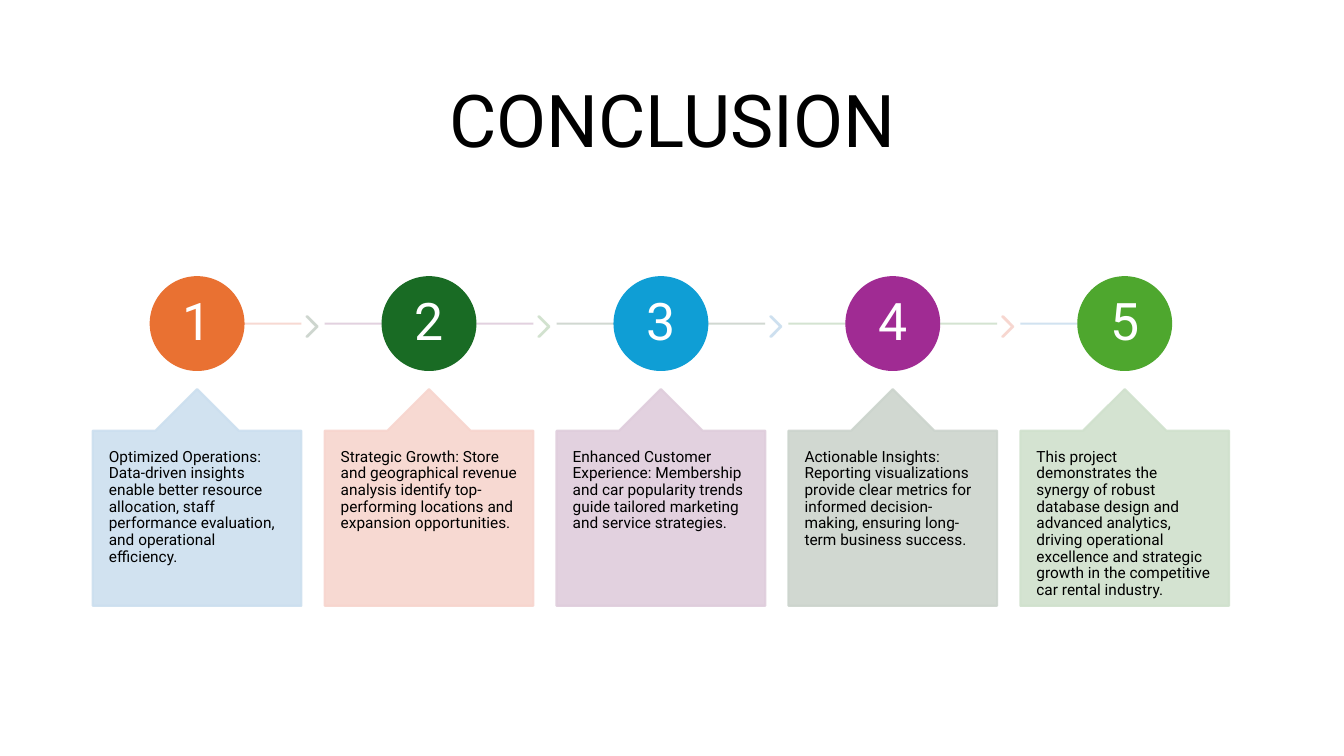
from lxml import etree
from pptx import Presentation
from pptx.dml.color import RGBColor
from pptx.enum.shapes import MSO_CONNECTOR as CONN, MSO_SHAPE as SHAPE
from pptx.enum.text import MSO_ANCHOR as ANCHOR, PP_ALIGN as ALIGN
from pptx.oxml.ns import qn
from pptx.util import Inches, Pt

COLORS = {
    "black": "000000", "white": "FFFFFF",
    "orange": "E97132", "dark_green": "196B24", "blue": "0F9ED5",
    "purple": "A02B93", "green": "4EA72E",
    "pale_blue": "CCDFEF", "pale_orange": "F7D5CE", "pale_purple": "DFCDDC",
    "pale_gray": "CCD4CD", "pale_green": "D0E1CD",
}
STEPS = [
    ("orange", "pale_blue", "pale_orange", "pale_gray",
     "Optimized Operations: Data-driven insights enable better resource allocation, "
     "staff performance evaluation, and operational efficiency."),
    ("dark_green", "pale_orange", "pale_purple", "pale_green",
     "Strategic Growth: Store and geographical revenue analysis identify "
     "top-performing locations and expansion opportunities."),
    ("blue", "pale_purple", "pale_gray", "pale_blue",
     "Enhanced Customer Experience: Membership and car popularity trends guide "
     "tailored marketing and service strategies."),
    ("purple", "pale_gray", "pale_green", "pale_orange",
     "Actionable Insights: Reporting visualizations provide clear metrics for "
     "informed decision-making, ensuring long-term business success."),
    ("green", "pale_green", "pale_blue", None,
     "This project demonstrates the synergy of robust database design and advanced "
     "analytics, driving operational excellence and strategic growth in the "
     "competitive car rental industry."),
]
LEFT, PITCH, CARD_W, CIRCLE = 0.92, 2.3, 2.07, 0.92
LINE_Y = 3.21


def paint(sp, color, opacity=100):
    sp.line.color.rgb = RGBColor.from_string(COLORS[color])
    sp.line.width = Pt(1.5)
    if hasattr(sp, "fill"):
        sp.shadow.inherit = False
        sp.fill.solid()
        sp.fill.fore_color.rgb = RGBColor.from_string(COLORS[color])
    else:
        etree.SubElement(sp.element.spPr, qn("a:effectLst"))
    if opacity < 100:
        for clr in sp.element.spPr.iter(qn("a:srgbClr")):
            etree.SubElement(clr, qn("a:alpha"), val=str(opacity * 1000))


def write(sp, text, size, color, align, anchor, inset_x, inset_y):
    tf = sp.text_frame
    tf.word_wrap = True
    tf.vertical_anchor = anchor
    tf.margin_left = tf.margin_right = Inches(inset_x)
    tf.margin_top = tf.margin_bottom = Inches(inset_y)
    p = tf.paragraphs[0]
    p.alignment = align
    p.line_spacing = 0.9
    r = p.add_run()
    r.text = text
    r.font.name = "Roboto"
    r.font.size = Pt(size)
    r.font.color.rgb = RGBColor.from_string(COLORS[color])


prs = Presentation()
prs.slide_width, prs.slide_height = Inches(13.33), Inches(7.5)
s = prs.slides.add_slide(prs.slide_layouts[5])

title = s.shapes.title
title.left, title.top = Inches(LEFT), Inches(0.61)
title.width, title.height = Inches(11.5), Inches(1.24)
write(title, "CONCLUSION", 52, "black", ALIGN.CENTER, ANCHOR.MIDDLE, 0.1, 0.05)

for i, (circle_color, card_color, line_color, chevron_color, text) in enumerate(STEPS):
    x = LEFT + i * PITCH
    center = x + CARD_W / 2
    line_start = center if i == 0 else x
    line_end = center if i == len(STEPS) - 1 else x + CARD_W
    line = s.shapes.add_connector(CONN.STRAIGHT, Inches(line_start), Inches(LINE_Y),
                                  Inches(line_end), Inches(LINE_Y))
    paint(line, line_color, 90)

    if chevron_color:
        chevron = s.shapes.add_shape(SHAPE.CHEVRON, Inches(x + 2.12), Inches(3.14),
                                     Inches(0.11), Inches(0.2))
        chevron.adjustments[0] = 0.9
        paint(chevron, chevron_color, 90)

    circle = s.shapes.add_shape(SHAPE.OVAL, Inches(center - CIRCLE / 2),
                                Inches(LINE_Y - CIRCLE / 2), Inches(CIRCLE), Inches(CIRCLE))
    paint(circle, circle_color)
    write(circle, str(i + 1), 37, "white", ALIGN.CENTER, ANCHOR.MIDDLE, 0.04, 0.04)

    card = s.shapes.add_shape(SHAPE.UP_ARROW_CALLOUT, Inches(x), Inches(3.86),
                              Inches(CARD_W), Inches(2.15))
    for k, value in enumerate((0.5, 0.2, 0.2, 1)):
        card.adjustments[k] = value
    paint(card, card_color, 90)
    write(card, text, 11, "black", ALIGN.LEFT, ANCHOR.TOP, 0.16, 0.18)

prs.save("out.pptx")
